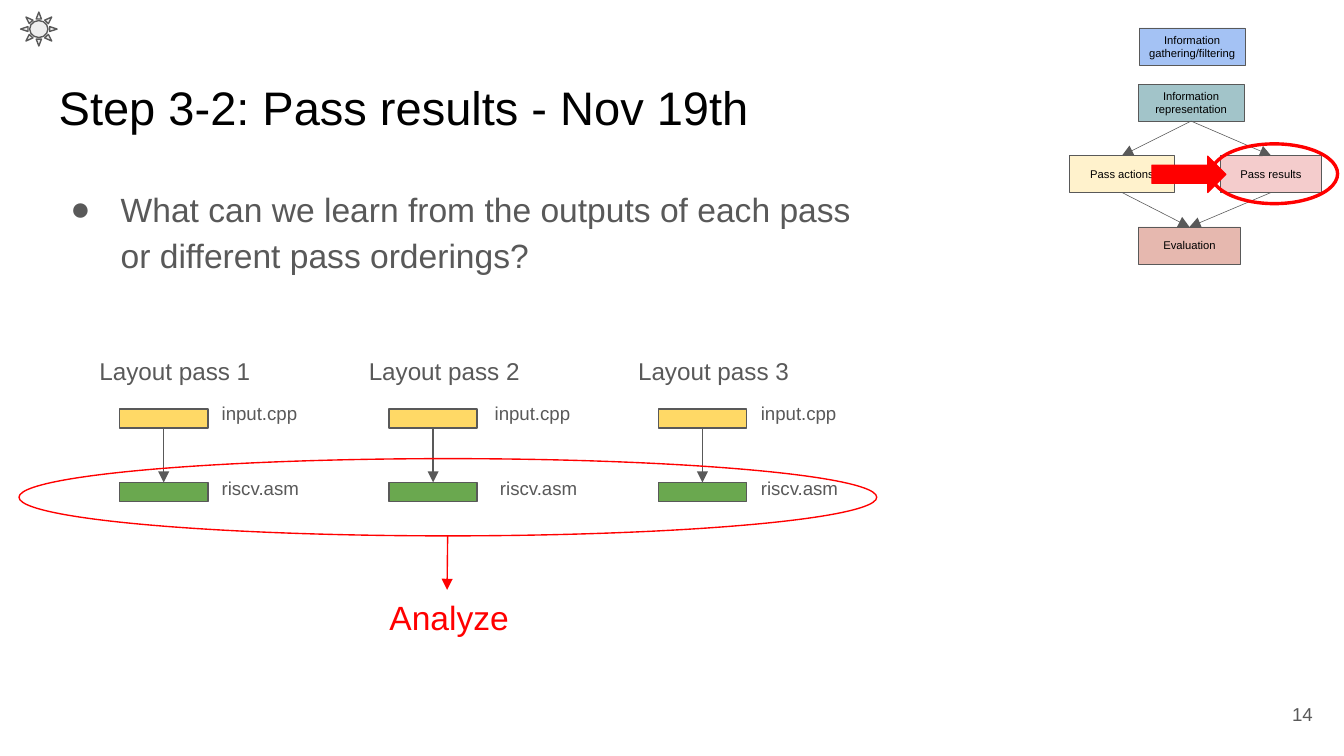
from lxml import etree
from pptx import Presentation, util as u
from pptx.dml.color import RGBColor
from pptx.enum import shapes, text
from pptx.oxml.ns import qn

Cm, Pt = u.Cm, u.Pt
MS, PP, MSO = shapes.MSO_SHAPE, text.PP_ALIGN, text.MSO_ANCHOR
BLACK = RGBColor(0x00, 0x00, 0x00)
GRAY = RGBColor(0x59, 0x59, 0x59)
RED = RGBColor(0xFF, 0x00, 0x00)
BLUE = RGBColor(0xA4, 0xC2, 0xF4)
TEAL = RGBColor(0xA2, 0xC4, 0xC9)
PINK = RGBColor(0xF4, 0xCC, 0xCC)
CREAM = RGBColor(0xFF, 0xF2, 0xCC)
ROSE = RGBColor(0xE6, 0xB8, 0xAF)
YELLOW = RGBColor(0xFF, 0xD9, 0x66)
GREEN = RGBColor(0x6A, 0xA8, 0x4F)
SILVER = RGBColor(0xEE, 0xEE, 0xEE)

prs = Presentation()
prs.slide_width, prs.slide_height = Cm(25.4), Cm(14.29)
s = prs.slides.add_slide(prs.slide_layouts[1])


def write(sp, words, size, color, box=None, align=PP.LEFT, anchor=MSO.TOP, inset=0.25):
    if box:
        sp.left, sp.top, sp.width, sp.height = map(Cm, box)
    tf = sp.text_frame
    fmt = {"word_wrap": True, "auto_size": text.MSO_AUTO_SIZE.NONE, "vertical_anchor": anchor}
    fmt |= {"margin_" + side: Cm(inset) for side in ("left", "top", "right", "bottom")}
    for name, value in fmt.items():
        setattr(tf, name, value)
    p = tf.paragraphs[0]
    p.text = words
    p.alignment = align
    p.space_before = Pt(0)
    for r in p.runs:
        for name, value in {"name": "Arial", "size": Pt(size)}.items():
            setattr(r.font, name, value)
        r.font.color.rgb = color
    return p


def draw(kind, box, line, width, fill=None, head=False):
    if head:
        sp = s.shapes.add_connector(shapes.MSO_CONNECTOR.STRAIGHT, *map(Cm, box))
        ln = sp.line
    else:
        sp = s.shapes.add_shape(kind, *map(Cm, box))
        sp.shadow.inherit = False
        ln = sp.line
        if fill is None:
            sp.fill.background()
        else:
            sp.fill.solid()
            sp.fill.fore_color.rgb = fill
    ln.color.rgb = line
    ln.width = Pt(width)
    if head:
        etree.SubElement(ln._get_or_add_ln(), qn("a:tailEnd"), type="triangle")
        etree.SubElement(sp._element.spPr, qn("a:effectLst"))
    return sp


write(s.shapes.title, "Step 3-2: Pass results - Nov 19th", 25.2, BLACK, (0.86, 1.24, 23.67, 1.6))
p = write(s.placeholders[1],
          "What can we learn from the outputs of each pass\vor different pass orderings?",
          18, GRAY, (0.76, 3.2, 23.67, 2.9))
p.line_spacing = 1.15
pPr = p._p.get_or_add_pPr()
pPr.set("marL", str(Cm(1.27)))
pPr.set("indent", str(Cm(-0.95)))
bullet = etree.SubElement(pPr, qn("a:buClr"))
etree.SubElement(bullet, qn("a:srgbClr"), val=str(GRAY))
etree.SubElement(pPr, qn("a:buFont"), typeface="Arial")
etree.SubElement(pPr, qn("a:buChar"), char="●")

steps = {}
for words, left, top, width, fill in [
    ("Information gathering/filtering", 21.53, 0.53, 2, BLUE),
    ("Information representation", 21.51, 1.59, 2, TEAL),
    ("Pass results", 23.07, 2.94, 1.9, PINK),
    ("Pass actions", 20.21, 2.94, 1.99, CREAM),
    ("Evaluation", 21.51, 4.29, 1.94, ROSE),
]:
    sp = draw(MS.RECTANGLE, (left, top, width, 0.7), GRAY, 0.32, fill)
    write(sp, words, 6, BLACK, align=PP.CENTER, anchor=MSO.MIDDLE, inset=0.1)
    steps[words] = sp

for start, end in [
    ("Information representation", "Pass actions"),
    ("Information representation", "Pass results"),
    ("Pass actions", "Evaluation"),
    ("Pass results", "Evaluation"),
]:
    cx = draw(None, (0, 0, 1, 1), GRAY, 0.32, head=True)
    cx.begin_connect(steps[start], 2)
    cx.end_connect(steps[end], 0)

draw(MS.OVAL, (22.89, 2.72, 2.39, 1.13), RED, 1.81)
draw(MS.RIGHT_ARROW, (21.77, 2.95, 1.4, 0.69), RED, 0.6, RED)

for i, (cpp_left, asm_left) in enumerate([(3.94, 3.94), (9.1, 9.2), (14.13, 14.13)]):
    left = 2.26 + 5.09 * i
    source = draw(MS.RECTANGLE, (left, 7.73, 1.67, 0.36), GRAY, 0.75, YELLOW)
    target = draw(MS.RECTANGLE, (left, 9.12, 1.67, 0.36), GRAY, 0.75, GREEN)
    cx = draw(None, (0, 0, 1, 1), GRAY, 0.75, head=True)
    cx.begin_connect(source, 2)
    cx.end_connect(target, 0)
    for words, size, box in [
        (f"Layout pass {i + 1}", 13, (left - 0.63, 6.48, 4.95, 1.07)),
        ("input.cpp", 10, (cpp_left, 7.42, 2.24, 0.36)),
        ("riscv.asm", 10, (asm_left, 8.84, 2.24, 0.36)),
    ]:
        write(s.shapes.add_textbox(*map(Cm, box)), words, size, GRAY)

draw(MS.OVAL, (0.36, 8.67, 16.21, 1.46), RED, 0.75)
draw(None, (8.46, 10.13, 8.45, 11.15), RED, 0.75, head=True)
write(s.shapes.add_textbox(Cm(7.11), Cm(11.03), Cm(5.66), Cm(1.24)), "Analyze", 18, RED)
write(s.shapes.add_textbox(Cm(23.54), Cm(12.95), Cm(1.52), Cm(1.09)), "14", 10, GRAY,
      align=PP.RIGHT, anchor=MSO.MIDDLE)
draw(MS.SUN, (0.39, 0.23, 0.69, 0.64), GRAY, 0.75, SILVER)

prs.save("out.pptx")
